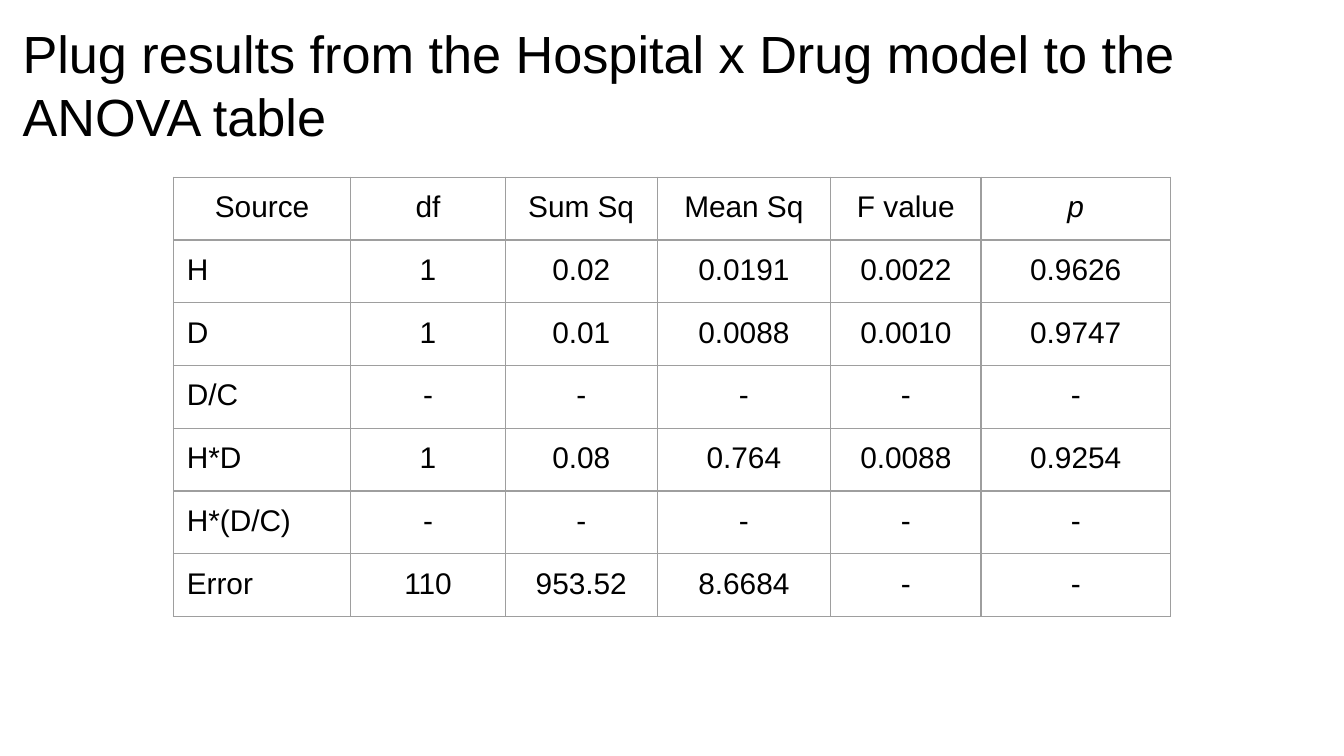
from pptx import Presentation
from pptx.dml.color import RGBColor
from pptx.enum.text import MSO_ANCHOR, PP_ALIGN
from pptx.oxml import parse_xml
from pptx.oxml.ns import nsdecls
from pptx.util import Pt

TITLE = "Plug results from the Hospital x Drug model to the ANOVA table"
ANOVA_ROWS = [
    ("Source", "df", "Sum Sq", "Mean Sq", "F value", "p"),
    ("H", "1", "0.02", "0.0191", "0.0022", "0.9626"),
    ("D", "1", "0.01", "0.0088", "0.0010", "0.9747"),
    ("D/C", "-", "-", "-", "-", "-"),
    ("H*D", "1", "0.08", "0.764", "0.0088", "0.9254"),
    ("H*(D/C)", "-", "-", "-", "-", "-"),
    ("Error", "110", "953.52", "8.6684", "-", "-"),
]
COLUMN_WIDTHS = [95, 82.8, 81.4, 92.9, 80.6, 101.5]
HEADER_HEIGHT = 33.2
ROW_HEIGHT = 30.3

FONT = "Arial"
BLACK = RGBColor(0, 0, 0)
BORDER_GRAY = RGBColor(0x9E, 0x9E, 0x9E)
BORDER_WIDTH = Pt(0.75)
INSET = Pt(7.2)
LEFT = PP_ALIGN.LEFT
CENTER = PP_ALIGN.CENTER
TOP = MSO_ANCHOR.TOP


def set_insets(holder):
    holder.margin_left = holder.margin_right = INSET
    holder.margin_top = holder.margin_bottom = INSET
    holder.vertical_anchor = TOP


def add_text(paragraph, text, size, alignment, italic=False):
    paragraph.alignment = alignment
    run = paragraph.add_run()
    run.text = text
    run.font.name = FONT
    run.font.size = Pt(size)
    run.font.italic = italic
    run.font.color.rgb = BLACK


def add_borders(cell):
    properties = cell._tc.get_or_add_tcPr()
    for position, side in enumerate(("lnL", "lnR", "lnT", "lnB")):
        border = parse_xml(
            f'<a:{side} {nsdecls("a")} w="{BORDER_WIDTH}"><a:solidFill>'
            f'<a:srgbClr val="{BORDER_GRAY}"/></a:solidFill></a:{side}>'
        )
        properties.insert(position, border)


def add_title(slide):
    title_box = slide.shapes.add_textbox(Pt(5), Pt(4.3), Pt(671), Pt(45.4))
    frame = title_box.text_frame
    frame.word_wrap = True
    set_insets(frame)
    add_text(frame.paragraphs[0], TITLE, 28, LEFT)


def add_anova_table(slide):
    row_heights = [HEADER_HEIGHT] + [ROW_HEIGHT] * (len(ANOVA_ROWS) - 1)
    table = slide.shapes.add_table(
        len(ANOVA_ROWS), len(COLUMN_WIDTHS), Pt(92.9), Pt(95),
        Pt(sum(COLUMN_WIDTHS)), Pt(sum(row_heights)),
    ).table
    table.first_row = False
    table.horz_banding = False
    for column, width in zip(table.columns, COLUMN_WIDTHS):
        column.width = Pt(width)
    for row, height in zip(table.rows, row_heights):
        row.height = Pt(height)
    for row_index, values in enumerate(ANOVA_ROWS):
        for column_index, value in enumerate(values):
            cell = table.cell(row_index, column_index)
            cell.fill.background()
            set_insets(cell)
            add_borders(cell)
            is_label = row_index > 0 and column_index == 0
            alignment = LEFT if is_label else CENTER
            add_text(cell.text_frame.paragraphs[0], value, 16, alignment, value == "p")


def main():
    presentation = Presentation()
    presentation.slide_width = Pt(720)
    presentation.slide_height = Pt(405)
    slide = presentation.slides.add_slide(presentation.slide_layouts[6])
    add_title(slide)
    add_anova_table(slide)
    presentation.save("out.pptx")


if __name__ == "__main__":
    main()
